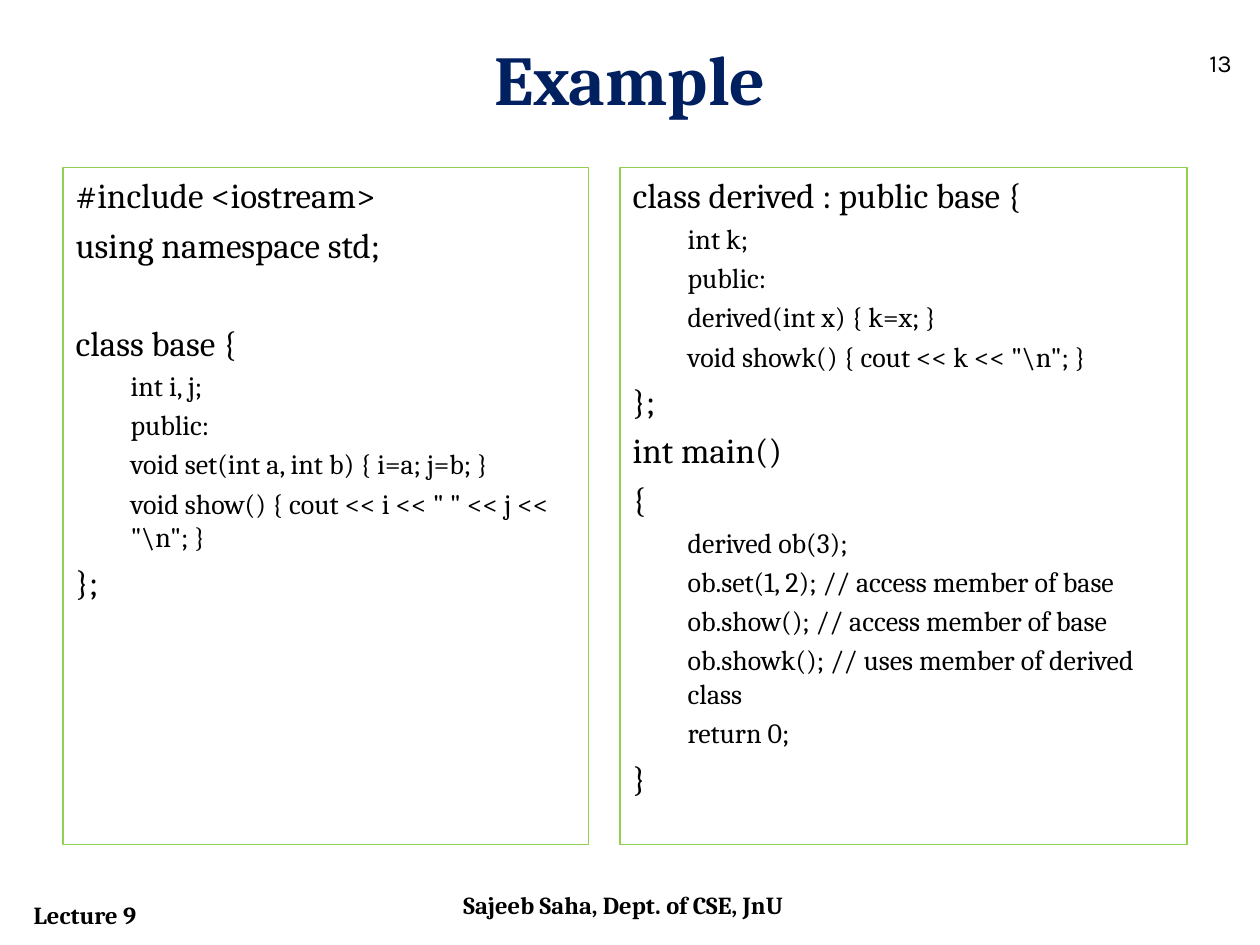
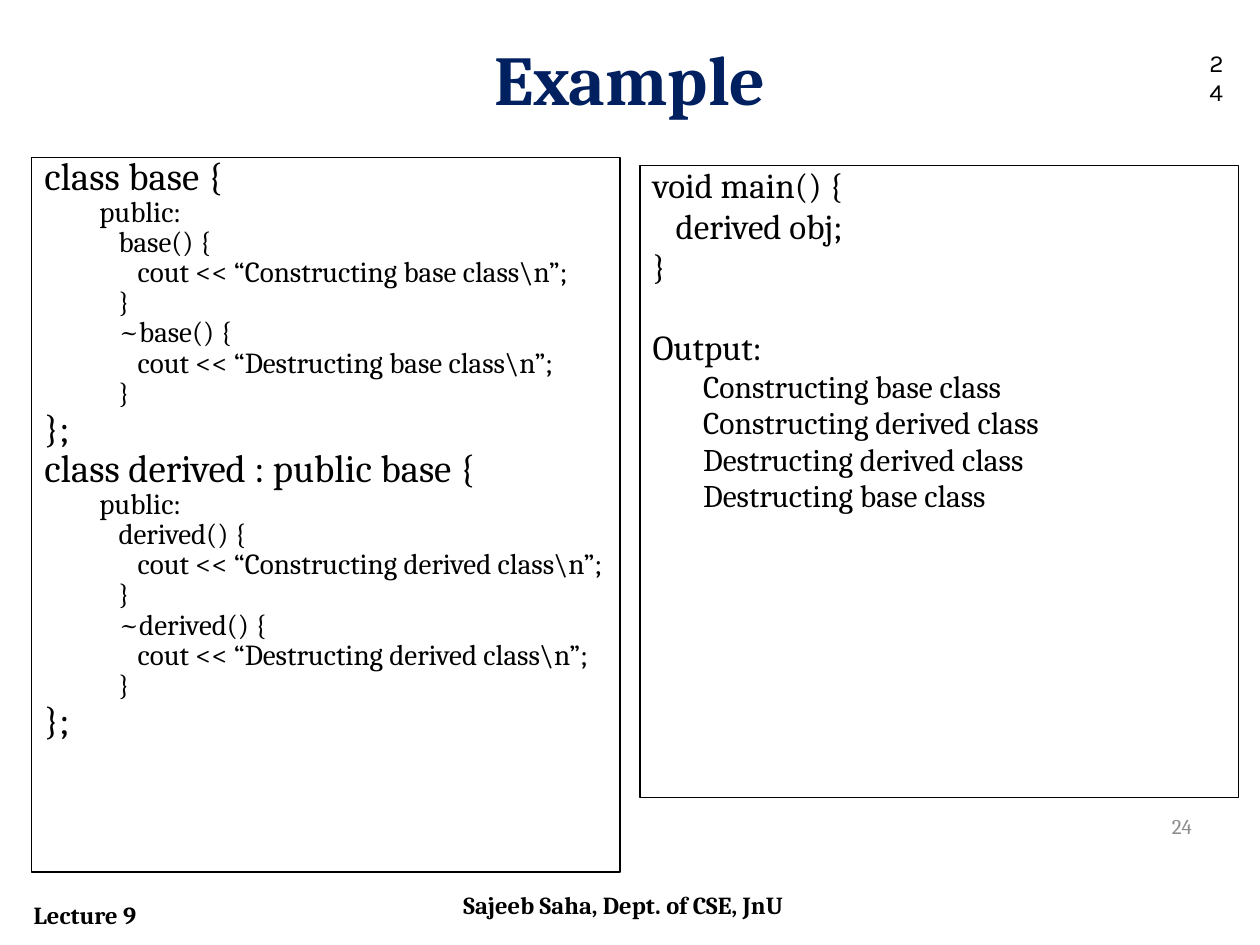
import pptx
import pptx.dml.color
import pptx.enum.text
import pptx.oxml.ns
import pptx.util
import lxml.etree

Cm, Pt = pptx.util.Cm, pptx.util.Pt
RGBColor = pptx.dml.color.RGBColor
MSO_ANCHOR = pptx.enum.text.MSO_ANCHOR
PP_ALIGN = pptx.enum.text.PP_ALIGN

BLACK = RGBColor(0x00, 0x00, 0x00)
NAVY = RGBColor(0x00, 0x20, 0x60)
GREEN = RGBColor(0x92, 0xD0, 0x50)
GRAY = RGBColor(0x8C, 0x8C, 0x8C)
SERIF = "Cambria"
SANS = "Karla"

TITLE_BOX = (1.27, 0.58, 22.86, 1.96)
LECTURE_BOX = (0.43, 18.01, 5.08, 0.86)
AUTHOR_BOX = (9.09, 17.81, 7.19, 1.02)
NUMBER_BOX = (24.13, 0.84, 1.06, 1.02)
SMALL_NUMBER_BOX = (22.58, 15.93, 1.7, 1.45)
LECTURE = "Lecture 9"
AUTHOR = "Sajeeb Saha, Dept. of CSE, JnU"

BASE_CODE = [
    (0, "#include <iostream>"),
    (0, "using namespace std;"),
    (0, "class base {", 28),
    (1, "int i, j;"),
    (1, "public:"),
    (1, "void set(int a, int b) { i=a; j=b; }"),
    (1, 'void show() { cout << i << " " << j << "\\n"; }'),
    (0, "};"),
]
DERIVED_CODE = [
    (0, "class derived : public base {"),
    (1, "int k;"),
    (1, "public:"),
    (1, "derived(int x) { k=x; }"),
    (1, 'void showk() { cout << k << "\\n"; }'),
    (0, "};"),
    (0, "int main()"),
    (0, "{"),
    (1, "derived ob(3);"),
    (1, "ob.set(1, 2); // access member of base"),
    (1, "ob.show(); // access member of base"),
    (1, "ob.showk(); // uses member of derived class"),
    (1, "return 0;"),
    (0, "}"),
]
MAIN_AND_OUTPUT = [
    (0, "void main() {"),
    (0, "   derived obj;"),
    (0, "}"),
    (0, "Output:", 23.2),
    (1, "Constructing base class"),
    (1, "Constructing derived class"),
    (1, "Destructing derived class"),
    (1, "Destructing base class"),
]


def class_code(name, heading):
    return [
        (0, heading),
        (1, "public:"),
        (1, f"   {name}() {{"),
        (1, f"      cout << “Constructing {name} class\\n”;"),
        (1, "   }"),
        (1, f"   ~{name}() {{"),
        (1, f"      cout << “Destructing {name} class\\n”;"),
        (1, "   }"),
        (0, "};"),
    ]


CLASSES = (class_code("base", "class base {")
           + class_code("derived", "class derived : public base {"))

SLIDES = [
    dict(title="Example", number="13", small_number=False, border=GREEN, panels=[
        dict(box=(1.27, 3.38, 10.59, 13.64), lines=BASE_CODE,
             sizes=(20, 16), indent=1.11, spacing=1.0),
        dict(box=(12.5, 3.38, 11.43, 13.64), lines=DERIVED_CODE,
             sizes=(20, 16), indent=1.11, spacing=1.0),
    ]),
    dict(title="Example", number="24", small_number=True, border=BLACK, panels=[
        dict(box=(0.64, 3.18, 11.86, 14.4), lines=CLASSES,
             sizes=(22.2, 16.6), indent=1.11, spacing=0.7),
        dict(box=(12.9, 3.33, 12.07, 12.75), lines=MAIN_AND_OUTPUT,
             sizes=(20, 18), indent=1.02, spacing=0.8),
    ]),
]


def place(sp, box):
    sp.left, sp.top, sp.width, sp.height = map(Cm, box)
    tf = sp.text_frame
    tf.word_wrap = True
    tf.auto_size = pptx.enum.text.MSO_AUTO_SIZE.NONE
    return tf


def style(p, size, color=BLACK, font=SERIF, bold=False):
    for r in p.runs:
        r.font.size = Pt(size)
        r.font.name = font
        r.font.bold = bold
        r.font.color.rgb = color


def label(s, text, box, size=14, color=BLACK, font=SERIF, bold=False,
          align=PP_ALIGN.LEFT, anchor=MSO_ANCHOR.TOP):
    tf = place(s.shapes.add_textbox(0, 0, 0, 0), box)
    tf.text = text
    tf.vertical_anchor = anchor
    tf.paragraphs[0].alignment = align
    style(tf.paragraphs[0], size, color, font, bold)


def fill_panel(sp, panel, border):
    tf = place(sp, panel["box"])
    tf.vertical_anchor = MSO_ANCHOR.TOP
    sp.line.color.rgb = border
    sp.line.width = Pt(0.75)
    for i, (level, text, *gap) in enumerate(panel["lines"]):
        p = tf.add_paragraph() if i else tf.paragraphs[0]
        p.text = text
        size = panel["sizes"][level]
        pPr = p._p.get_or_add_pPr()
        pPr.set("marL", str(Cm(panel["indent"] * level)))
        pPr.set("indent", "0")
        lxml.etree.SubElement(pPr, pptx.oxml.ns.qn("a:buNone"))
        p.level = level
        p.line_spacing = panel["spacing"]
        p.space_before = Pt(0.2 * size + sum(gap) if i else 0)
        style(p, size)


def add_slide(prs, content):
    s = prs.slides.add_slide(prs.slide_layouts.get_by_name("Two Content"))
    title, *bodies = s.placeholders
    tf = place(title, TITLE_BOX)
    tf.text = content["title"]
    tf.vertical_anchor = MSO_ANCHOR.TOP
    tf.paragraphs[0].alignment = PP_ALIGN.CENTER
    style(tf.paragraphs[0], 40, NAVY, bold=True)
    for sp, panel in zip(bodies, content["panels"]):
        fill_panel(sp, panel, content["border"])
    label(s, LECTURE, LECTURE_BOX, bold=True)
    label(s, AUTHOR, AUTHOR_BOX, bold=True)
    label(s, content["number"], NUMBER_BOX, font=SANS)
    if content["small_number"]:
        label(s, content["number"], SMALL_NUMBER_BOX, size=12, color=GRAY,
              align=PP_ALIGN.RIGHT, anchor=MSO_ANCHOR.MIDDLE)


def main():
    prs = pptx.Presentation()
    prs.slide_width, prs.slide_height = Cm(25.4), Cm(19.05)
    for content in SLIDES:
        add_slide(prs, content)
    prs.save("out.pptx")


if __name__ == "__main__":
    main()
